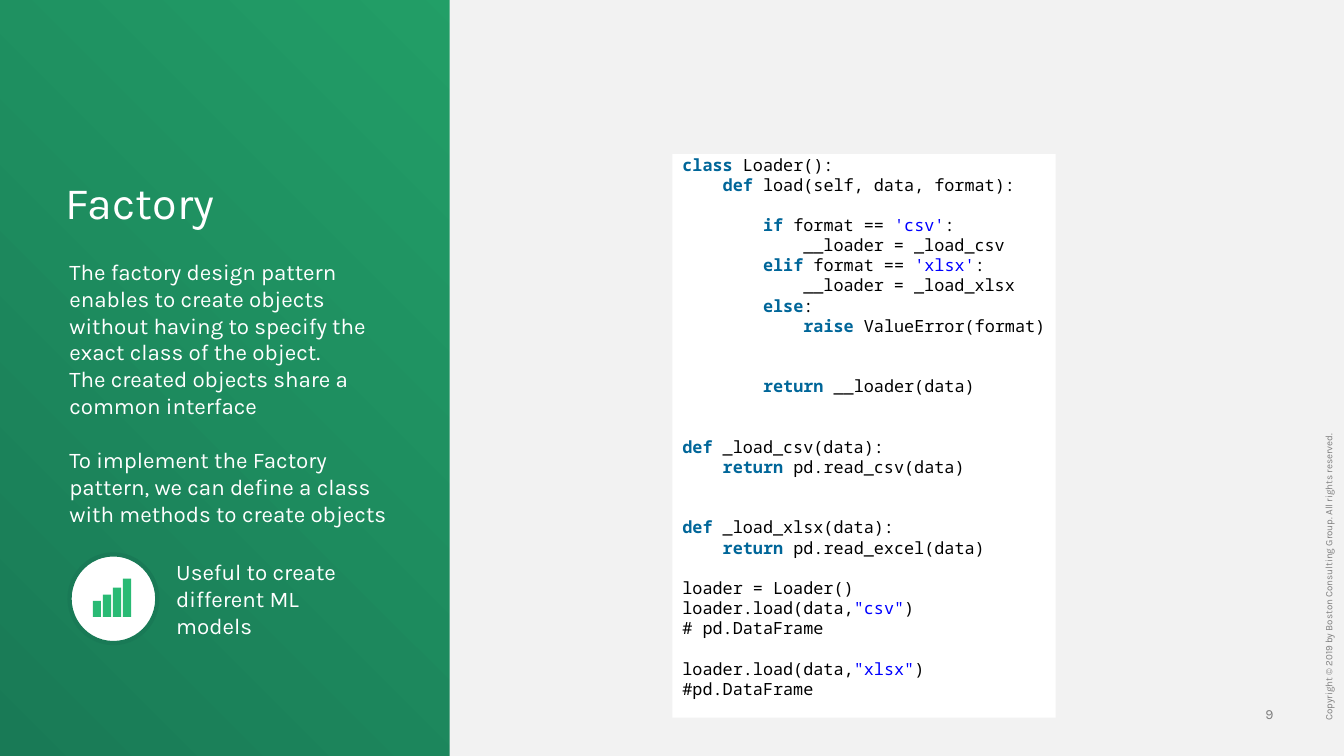
from pptx import Presentation
from pptx import util as u
from pptx.dml.color import RGBColor
from pptx.enum import shapes, text

CELL = u.Inches(1 / 12)
COLS, ROWS = 160, 90
SPLIT = 53.52
WHITE = RGBColor(0xFF, 0xFF, 0xFF)
BLACK = RGBColor(0, 0, 0)
PALE = RGBColor(0xF2, 0xF2, 0xF2)
GREY = RGBColor(0x80, 0x80, 0x80)
GREEN = RGBColor(0x29, 0xBA, 0x74)
DARK = RGBColor(0x19, 0x7A, 0x56)
TEAL = RGBColor(0x00, 0x66, 0x99)
BLUE = RGBColor(0x00, 0x00, 0xFF)
SANS, MONO = "Karla", "Noto Sans Mono"
WORDS = {"class", "def", "if", "elif", "else", "raise", "return"}

CODE = """|class| Loader():
    |def| load(self, data, format):

        |if| format == |'csv'|:
            __loader = _load_csv
        |elif| format == |'xlsx'|:
            __loader = _load_xlsx
        |else|:
            |raise| ValueError(format)


        |return| __loader(data)


|def| _load_csv(data):
    |return| pd.read_csv(data)


|def| _load_xlsx(data):
    |return| pd.read_excel(data)

loader = Loader()
loader.load(data,|"csv"|)
# pd.DataFrame

loader.load(data,|"xlsx"|)
#pd.DataFrame"""


def place(box, x, y, w, h):
    """Turn cells inside a box into slide lengths."""
    return [round(n * CELL) for n in (box[0] + x, box[1] + y, w, h)]


def style(run, size, color, face=SANS):
    """Format one run."""
    run.font.size = u.Pt(size)
    run.font.name = face
    run.font.color.rgb = color


def write(shape, lines, size, color, anchor, inset=True):
    """Fill a shape with plain paragraphs."""
    frame = shape.text_frame
    frame.word_wrap = True
    frame.vertical_anchor = anchor
    if not inset:
        frame.margin_left = frame.margin_right = 0
        frame.margin_top = frame.margin_bottom = 0
    frame.text = "\n".join(lines)
    for para in frame.paragraphs:
        para.alignment = text.PP_ALIGN.LEFT
        style(para.runs[0], size, color)
    return frame.paragraphs


def draw(slide, kind, spot, fill):
    """Add a flat shape without outline."""
    shape = slide.shapes.add_shape(kind, *spot)
    shape.shadow.inherit = False
    shape.fill.solid()
    shape.fill.fore_color.rgb = fill
    shape.line.fill.background()
    return shape


def icon(slide, box):
    """Draw the bar symbol in its ring."""
    disc = draw(slide, shapes.MSO_SHAPE.OVAL, place(box, 0, 0, *box[2:]), WHITE)
    disc.line.color.rgb = DARK
    disc.line.width = u.Pt(3)
    left, base, wide, step = 2.76, 7.44, 0.98, 1.2
    pen = None
    for i, tall in enumerate((1.92, 2.64, 3.48, 4.56)):
        x, y, w, h = place(box, left + i * step, base - tall, wide, tall)
        if pen is None:
            pen = slide.shapes.build_freeform(x, y)
        else:
            pen.move_to(x, y)
        pen.add_line_segments([(x + w, y), (x + w, y + h), (x, y + h)], close=True)
    bars = pen.convert_to_shape()
    bars.shadow.inherit = False
    bars.fill.solid()
    bars.fill.fore_color.rgb = GREEN
    bars.line.fill.background()


def side(slide, box):
    """Set the title, the description and the icon note."""
    mid, top = text.MSO_ANCHOR.MIDDLE, text.MSO_ANCHOR.TOP
    title = slide.shapes.title
    title.left, title.top, title.width, title.height = place(box, 7.8, 21.48, 41.04, 5.88)
    write(title, ["Factory"], 32, WHITE, mid, False)[0].line_spacing = 0.9
    body = slide.shapes.add_textbox(*place(box, 7.08, 30.12, 42.48, 33.24))
    paras = write(body, [
        "The factory design pattern enables to create objects without having "
        "to specify the exact class of the object.",
        "The created objects share a common interface",
        "To implement the Factory pattern, we can define a class with methods "
        "to create objects"], 16, WHITE, top)
    paras[-1].space_before = u.Pt(19.2)
    icon(slide, (box[0] + 8.28, box[1] + 66, 10.44, 10.56))
    note = slide.shapes.add_textbox(*place(box, 19.8, 64.56, 24.72, 13.32))
    write(note, ["Useful to create different ML models"], 16, WHITE, mid)


def listing(slide, box):
    """Set the coloured code on a white sheet."""
    sheet = draw(slide, shapes.MSO_SHAPE.RECTANGLE, place(box, 0, 0, *box[2:]), WHITE)
    frame = sheet.text_frame
    frame.word_wrap = True
    frame.vertical_anchor = text.MSO_ANCHOR.TOP
    frame.margin_top = frame.margin_right = frame.margin_bottom = 0
    para, gap = None, 0
    for line in CODE.split("\n"):
        if not line:
            gap += 1
            continue
        para = frame.add_paragraph() if para else frame.paragraphs[0]
        para.alignment = text.PP_ALIGN.LEFT
        if gap:
            para.space_before = u.Pt(14.4 * gap)
        gap = 0
        for part in filter(None, line.split("|")):
            run = para.add_run()
            run.text = part
            key = part in WORDS
            color = TEAL if key else BLUE if part[0] in "'\"" else BLACK
            style(run, 12, color, MONO)
            run.font.bold = key


def main_area(slide, box):
    """Draw the pale area with the code and the footer."""
    draw(slide, shapes.MSO_SHAPE.RECTANGLE, place(box, 0, 0, *box[2:]), PALE)
    listing(slide, (box[0] + 26.52, box[1] + 18.36, 45.6, 67.08))
    right = slide.shapes.add_textbox(*place(box, 71.04, 51.48, 67.32, 1.32))
    right.rotation = 270
    line = "Copyright © 2019 by Boston Consulting Group. All rights reserved."
    write(right, [line], 7, GREY, text.MSO_ANCHOR.TOP, False)[0].line_spacing = 0.9
    page = slide.shapes.add_textbox(*place(box, 93, 84, 5.04, 2.04))
    para = write(page, ["9"], 10, GREY, text.MSO_ANCHOR.BOTTOM, False)[0]
    para.alignment = text.PP_ALIGN.RIGHT


def main():
    """Build and save the slide."""
    deck = Presentation()
    deck.slide_width, deck.slide_height = u.Inches(13.33), u.Inches(7.5)
    slide = deck.slides.add_slide(deck.slide_layouts[5])
    fill = slide.background.fill
    fill.gradient()
    fill.gradient_angle = 225
    for stop, color, spot in zip(fill.gradient_stops, (GREEN, DARK), (0, 1)):
        stop.color.rgb = color
        stop.position = spot
    main_area(slide, (SPLIT, 0, COLS - SPLIT, ROWS))
    side(slide, (0, 0, SPLIT, ROWS))
    deck.save("out.pptx")


if __name__ == "__main__":
    main()
